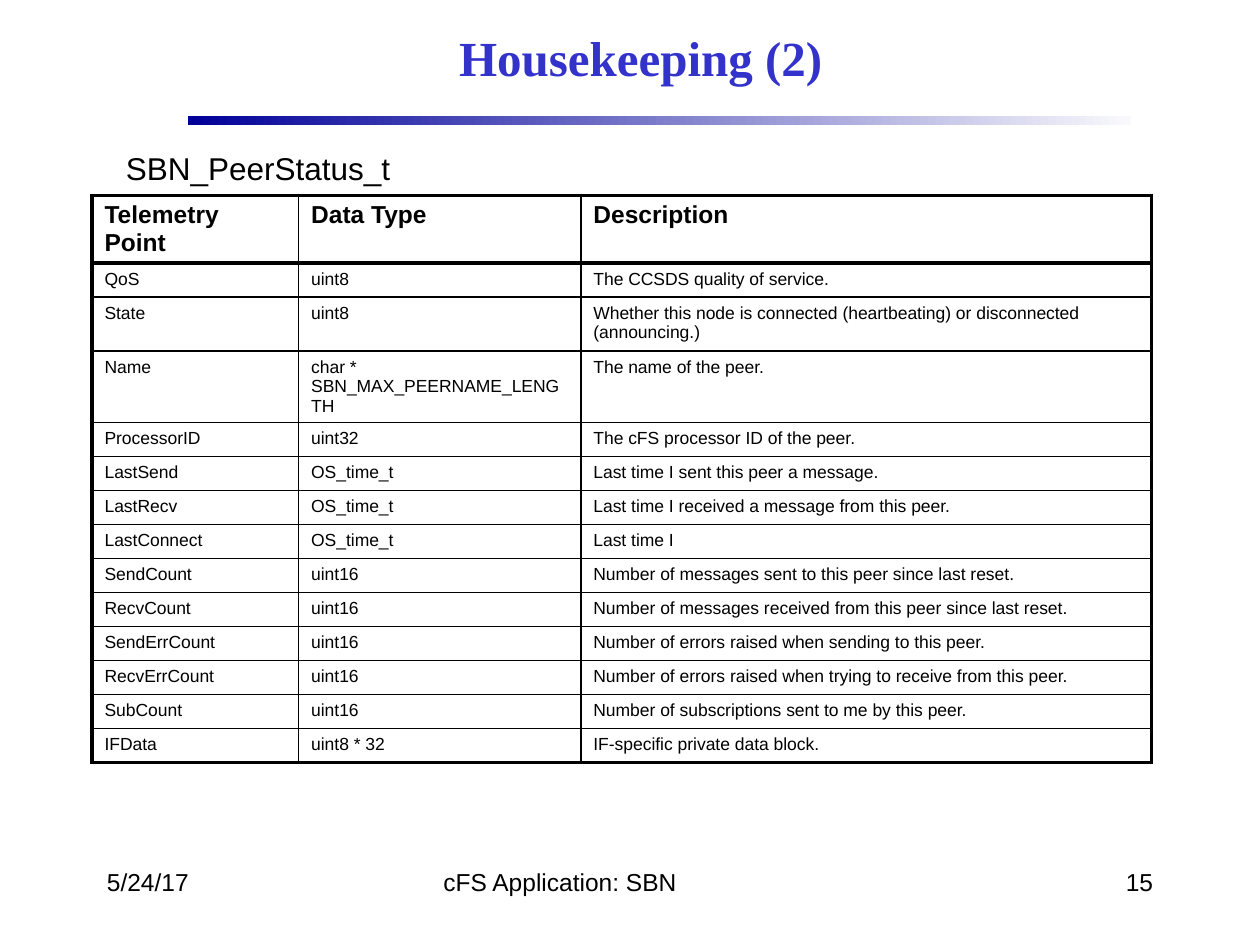
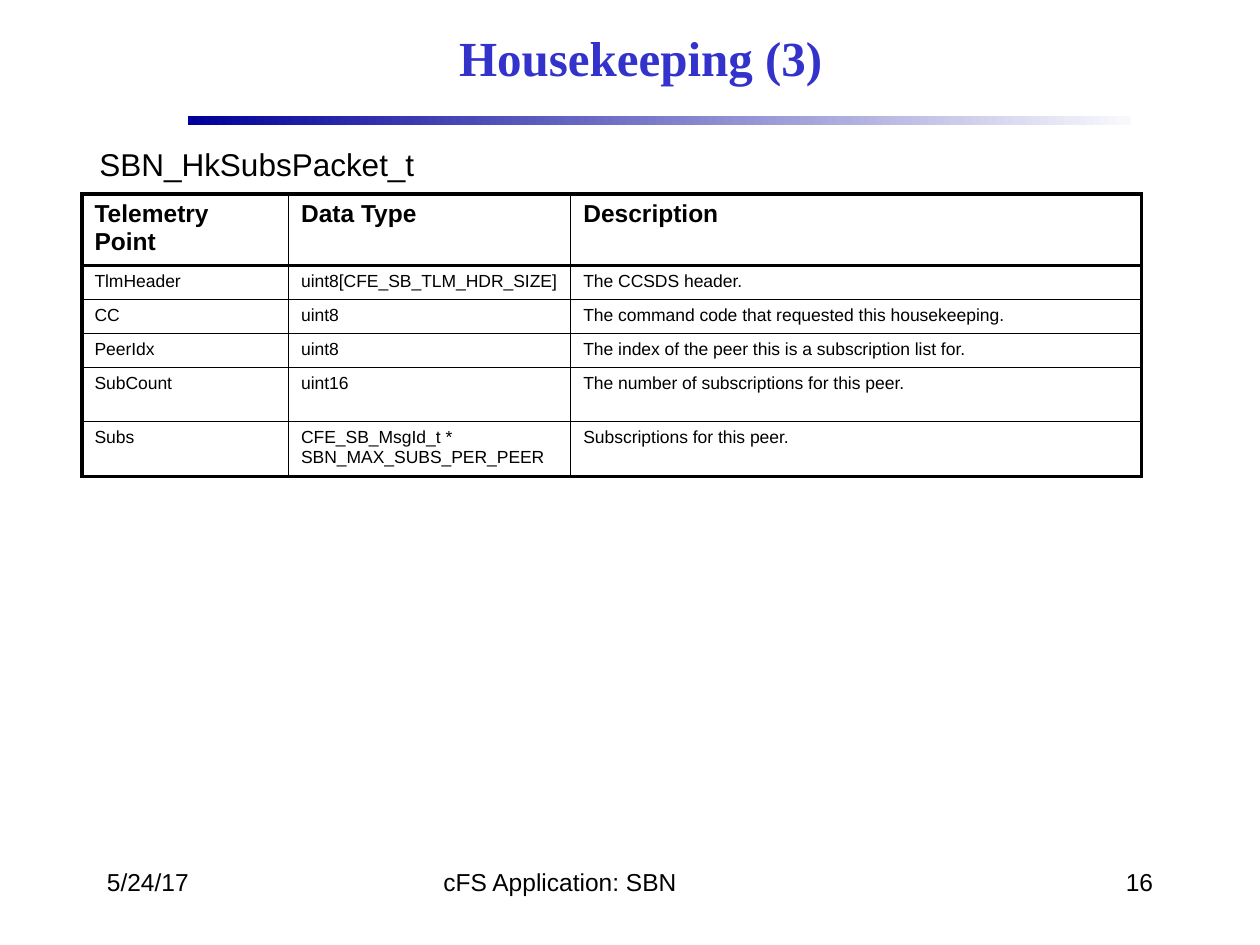
from dataclasses import dataclass

from lxml.etree import SubElement
from pptx import Presentation
from pptx.dml.color import RGBColor
from pptx.enum.shapes import MSO_SHAPE as Preset
from pptx.enum.text import MSO_ANCHOR as Anchor, MSO_AUTO_SIZE as AutoSize, PP_ALIGN as Align
from pptx.oxml.ns import qn
from pptx.slide import Slide
from pptx.table import _Cell as Cell
from pptx.text.text import TextFrame
from pptx.util import Inches, Pt

COLORS = {
    "paper": "FFFFFF",
    "ink": "000000",
    "title": "3333CC",
    "rule_start": "000099",
    "rule_end": "F9F9FD",
}
HEADINGS = ("Telemetry Point", "Data Type", "Description")
COLUMN_WIDTHS = (1.64, 2.24, 4.53)
HEADING_HEIGHT, ROW_HEIGHT, TALL_HEIGHT = 0.33, 0.27, 0.43
THICK, THIN = 2.25, 1.0


@dataclass(frozen=True)
class Box:
    left: float
    top: float
    width: float
    height: float

    def lengths(self) -> tuple[Inches, ...]:
        return tuple(Inches(v) for v in (self.left, self.top, self.width, self.height))


@dataclass(frozen=True)
class TextStyle:
    size: float
    font: str = "Arial"
    color: str = "ink"
    bold: bool = False
    align: Align = Align.LEFT


@dataclass(frozen=True)
class Structure:
    title: str
    number: int
    name: str
    name_box: Box
    table_left: float
    table_top: float
    tall_row: int
    points: tuple[tuple[str, str, str], ...]


TITLE_BOX = Box(1.5, 0.08, 7.17, 0.75)
RULE_BOX = Box(1.49, 0.92, 7.49, 0.07)
DATE_BOX = Box(0.75, 6.83, 2.08, 0.5)
FOOTER_BOX = Box(3.42, 6.83, 3.17, 0.5)
NUMBER_BOX = Box(7.17, 6.83, 2.08, 0.5)

TITLE = TextStyle(28, "Times New Roman", "title", True, Align.CENTER)
FOOTER = TextStyle(14)
NUMBER = TextStyle(14, align=Align.RIGHT)
STRUCTURE_NAME = TextStyle(18)
HEADING = TextStyle(14, bold=True)
BODY = TextStyle(10)

STRUCTURES = (
    Structure(
        "Housekeeping (2)", 15, "SBN_PeerStatus_t", Box(0.9, 1.13, 2.32, 0.4), 0.73, 1.55, 2,
        (
            ("QoS", "uint8", "The CCSDS quality of service."),
            ("State", "uint8",
             "Whether this node is connected (heartbeating) or disconnected (announcing.)"),
            ("Name", "char * SBN_MAX_PEERNAME_LENGTH", "The name of the peer."),
            ("ProcessorID", "uint32", "The cFS processor ID of the peer."),
            ("LastSend", "OS_time_t", "Last time I sent this peer a message."),
            ("LastRecv", "OS_time_t", "Last time I received a message from this peer."),
            ("LastConnect", "OS_time_t", "Last time I"),
            ("SendCount", "uint16", "Number of messages sent to this peer since last reset."),
            ("RecvCount", "uint16", "Number of messages received from this peer since last reset."),
            ("SendErrCount", "uint16", "Number of errors raised when sending to this peer."),
            ("RecvErrCount", "uint16",
             "Number of errors raised when trying to receive from this peer."),
            ("SubCount", "uint16", "Number of subscriptions sent to me by this peer."),
            ("IFData", "uint8 * 32", "IF-specific private data block."),
        ),
    ),
    Structure(
        "Housekeeping (3)", 16, "SBN_HkSubsPacket_t", Box(0.69, 1.1, 2.73, 0.4), 0.65, 1.54, 4,
        (
            ("TlmHeader", "uint8[CFE_SB_TLM_HDR_SIZE]", "The CCSDS header."),
            ("CC", "uint8", "The command code that requested this housekeeping."),
            ("PeerIdx", "uint8", "The index of the peer this is a subscription list for."),
            ("SubCount", "uint16", "The number of subscriptions for this peer."),
            ("Subs", "CFE_SB_MsgId_t * SBN_MAX_SUBS_PER_PEER", "Subscriptions for this peer."),
        ),
    ),
)


def rgb(color: str) -> RGBColor:
    return RGBColor.from_string(COLORS[color])


def write(frame: TextFrame, text: str, style: TextStyle) -> None:
    frame.text = text
    paragraph = frame.paragraphs[0]
    paragraph.alignment = style.align
    font = paragraph.runs[0].font
    font.name, font.size, font.bold = style.font, Pt(style.size), style.bold
    font.color.rgb = rgb(style.color)


def add_text(slide: Slide, box: Box, text: str, style: TextStyle,
             anchor: Anchor = Anchor.TOP, wrap: bool = True) -> None:
    frame = slide.shapes.add_textbox(*box.lengths()).text_frame
    frame.word_wrap = wrap
    frame.auto_size = AutoSize.NONE if wrap else AutoSize.SHAPE_TO_FIT_TEXT
    frame.vertical_anchor = anchor
    write(frame, text, style)


def add_title_rule(slide: Slide) -> None:
    rule = slide.shapes.add_shape(Preset.RECTANGLE, *RULE_BOX.lengths())
    rule.shadow.inherit = False
    rule.line.fill.background()
    rule.fill.gradient()
    rule.fill.gradient_angle = 0
    for stop, color in zip(rule.fill.gradient_stops, ("rule_start", "rule_end")):
        stop.color.rgb = rgb(color)


def set_borders(cell: Cell, widths: dict[str, float]) -> None:
    properties = cell._tc.get_or_add_tcPr()
    for side, width in widths.items():
        line = SubElement(properties, qn(f"a:ln{side}"), w=str(Pt(width)))
        SubElement(SubElement(line, qn("a:solidFill")), qn("a:srgbClr"), val=COLORS["ink"])


def add_points_table(slide: Slide, structure: Structure) -> None:
    rows = (HEADINGS, *structure.points)
    heights = [HEADING_HEIGHT] + [ROW_HEIGHT] * len(structure.points)
    heights[structure.tall_row] = TALL_HEIGHT
    box = Box(structure.table_left, structure.table_top, sum(COLUMN_WIDTHS), sum(heights))
    table = slide.shapes.add_table(len(rows), len(HEADINGS), *box.lengths()).table
    table.first_row = table.horz_banding = False
    for column, width in zip(table.columns, COLUMN_WIDTHS):
        column.width = Inches(width)
    last_row, last_column = len(rows) - 1, len(HEADINGS) - 1
    for r, (values, height) in enumerate(zip(rows, heights)):
        table.rows[r].height = Inches(height)
        for c, value in enumerate(values):
            cell = table.cell(r, c)
            write(cell.text_frame, value, BODY if r else HEADING)
            set_borders(cell, {
                "L": THICK if c == 0 else THIN,
                "R": THICK if c == last_column else THIN,
                "T": THICK if r <= 1 else THIN,
                "B": THICK if r in (0, last_row) else THIN,
            })
            cell.fill.solid()
            cell.fill.fore_color.rgb = rgb("paper")


def add_frame(slide: Slide, structure: Structure) -> None:
    slide.background.fill.solid()
    slide.background.fill.fore_color.rgb = rgb("paper")
    add_title_rule(slide)
    add_text(slide, TITLE_BOX, structure.title, TITLE, Anchor.MIDDLE)
    add_text(slide, DATE_BOX, "5/24/17", FOOTER)
    add_text(slide, FOOTER_BOX, "cFS Application: SBN", FOOTER)
    add_text(slide, NUMBER_BOX, str(structure.number), NUMBER)


def main() -> None:
    deck = Presentation()
    deck.slide_width, deck.slide_height = Inches(10), Inches(7.5)
    blank = deck.slide_layouts[6]
    for structure in STRUCTURES:
        slide = deck.slides.add_slide(blank)
        add_frame(slide, structure)
        add_points_table(slide, structure)
        add_text(slide, structure.name_box, structure.name, STRUCTURE_NAME, wrap=False)
    deck.save("out.pptx")


main()
